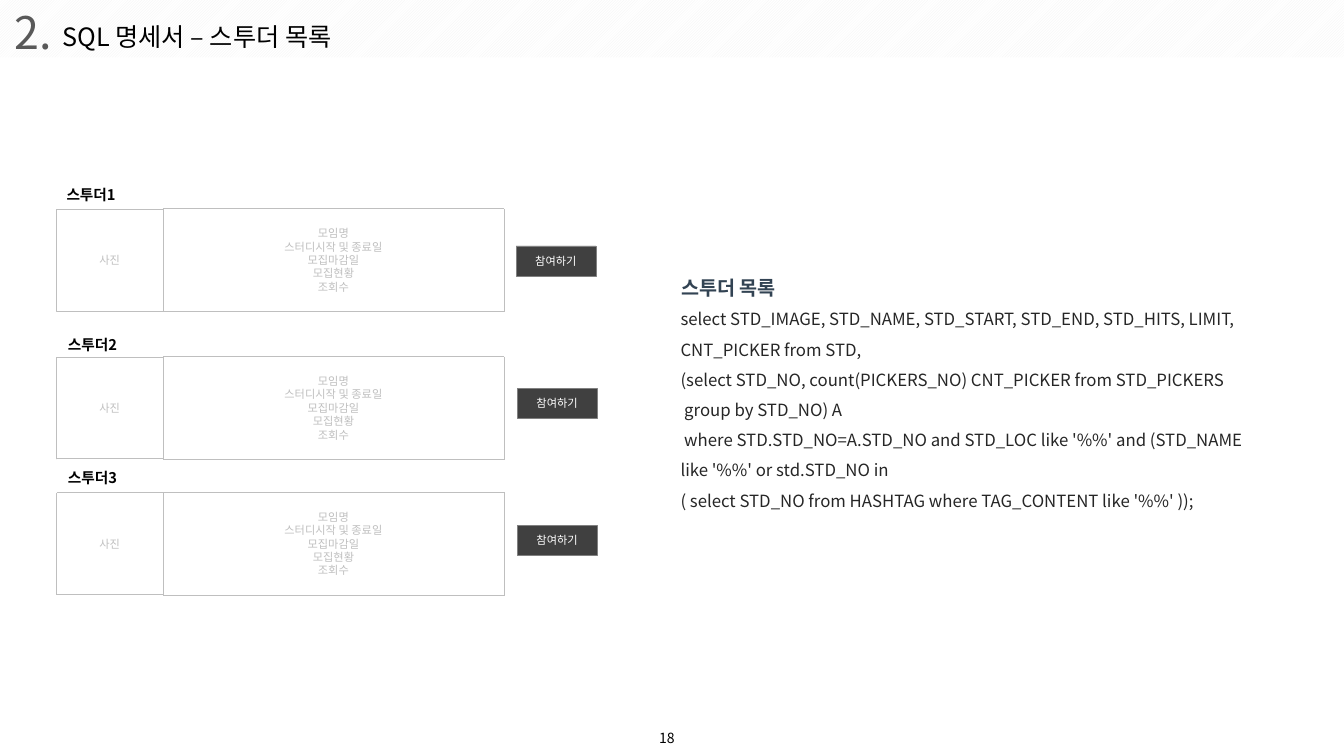
from lxml import etree
from pptx import Presentation
from pptx.dml.color import RGBColor
from pptx.enum.dml import MSO_LINE, MSO_PATTERN
from pptx.enum.shapes import MSO_SHAPE
from pptx.enum.text import MSO_ANCHOR, PP_ALIGN
from pptx.oxml.ns import qn
from pptx.util import Pt

RECTANGLE = MSO_SHAPE.RECTANGLE
DIAGONAL = MSO_PATTERN.DARK_UPWARD_DIAGONAL
DOTTED = MSO_LINE.ROUND_DOT
LEFT, CENTER, RIGHT = PP_ALIGN.LEFT, PP_ALIGN.CENTER, PP_ALIGN.RIGHT
TOP, MIDDLE = MSO_ANCHOR.TOP, MSO_ANCHOR.MIDDLE

FONT = "Noto Sans CJK KR"
COLORS = {
    "black": "000000", "white": "FFFFFF", "band": "F2F2F2",
    "number": "595959", "button": "404040", "button_line": "808080",
    "wireframe": "BFBFBF", "heading": "324353", "code": "262626",
}
SLIDE_WIDTH, SLIDE_HEIGHT = 960, 540

STUDY_FIELDS = ["모임명", "스터디시작 및 종료일", "모집마감일", "모집현황", "조회수"]
# label, label left, label top, card top, button left, button top
STUDY_ROWS = [
    ("스투더1", 40.5, 129, 149, 368.6, 175.7),
    ("스투더2", 41.5, 236, 254.5, 369.5, 277.3),
    ("스투더3", 41.5, 331, 351.5, 369.5, 375.2),
]
QUERY = [
    "select STD_IMAGE, STD_NAME, STD_START, STD_END, STD_HITS, LIMIT, CNT_PICKER from STD,",
    "(select STD_NO, count(PICKERS_NO) CNT_PICKER from STD_PICKERS",
    " group by STD_NO) A",
    " where STD.STD_NO=A.STD_NO and STD_LOC like '%%' and (STD_NAME like '%%' or std.STD_NO in",
    "( select STD_NO from HASHTAG where TAG_CONTENT like '%%' ));",
]


def rgb(name):
    return RGBColor.from_string(COLORS[name])


def write(shape, lines, size, color, bold=False, align=LEFT, anchor=TOP, spacing=None):
    frame = shape.text_frame
    frame.word_wrap = True
    frame.vertical_anchor = anchor
    for index, line in enumerate(lines):
        paragraph = frame.add_paragraph() if index else frame.paragraphs[0]
        paragraph.text = line
        paragraph.alignment = align
        if spacing:
            paragraph.line_spacing = spacing
        font = paragraph.font
        font.name, font.size, font.bold = FONT, Pt(size), bold
        font.color.rgb = rgb(color)
        properties = paragraph._p.pPr.find(qn("a:defRPr"))
        etree.SubElement(properties, qn("a:ea"), typeface=FONT)


def add_text(slide, box, lines, size, color, **style):
    shape = slide.shapes.add_textbox(*map(Pt, box))
    write(shape, lines, size, color, **style)


def add_box(slide, box, lines, fill, line, text_color, dash=None):
    """Add an outlined rectangle with small centred text."""
    shape = slide.shapes.add_shape(RECTANGLE, *map(Pt, box))
    shape.shadow.inherit = False
    shape.fill.solid()
    shape.fill.fore_color.rgb = rgb(fill)
    shape.line.color.rgb = rgb(line)
    shape.line.width = Pt(0.25)
    if dash:
        shape.line.dash_style = dash
    write(shape, lines, 8, text_color, align=CENTER, anchor=MIDDLE)


def add_header(slide, left, top, width, height):
    band = slide.shapes.add_shape(RECTANGLE, *map(Pt, (left, top, width, height)))
    band.shadow.inherit = False
    band.fill.patterned()
    band.fill.pattern = DIAGONAL
    band.fill.fore_color.rgb = rgb("band")
    band.fill.back_color.rgb = rgb("white")
    band.line.fill.background()
    add_text(slide, (left + 37.5, top + 11.5, 207.4, 29), ["SQL 명세서 – 스투더 목록"], 18, "black")
    add_text(slide, (left + 3.6, top, 50.4, 46), ["2."], 32, "number")


def add_study_cards(slide, left):
    for label, label_left, label_top, top, button_left, button_top in STUDY_ROWS:
        add_text(slide, (label_left, label_top, 62.6, 20), [label], 10.5, "black", bold=True)
        add_box(slide, (left + 76.2, top, 243.4, 73.5), STUDY_FIELDS,
                "white", "wireframe", "wireframe", DOTTED)
        add_box(slide, (left, top + 0.4, 76, 72.7), ["사진"],
                "white", "wireframe", "wireframe", DOTTED)
        add_box(slide, (button_left, button_top, 57, 21.6), ["참여하기"],
                "button", "button_line", "white")


def add_query(slide, left, top, width):
    add_text(slide, (left, top + 20, width, 158.4), QUERY, 12, "code", spacing=1.5)
    add_text(slide, (left + 0.4, top, 314.6, 27.4), ["스투더 목록"], 14, "heading",
             bold=True, anchor=MIDDLE, spacing=1.2)


def main():
    presentation = Presentation()
    presentation.slide_width, presentation.slide_height = Pt(SLIDE_WIDTH), Pt(SLIDE_HEIGHT)
    slide = presentation.slides.add_slide(presentation.slide_layouts[6])
    add_header(slide, 0, 0, SLIDE_WIDTH, 41)
    add_study_cards(slide, 40.3)
    add_query(slide, 479, 190, 432.7)
    add_text(slide, (454.3, 517.7, 34.6, 19.4), ["18"], 10, "black", align=RIGHT)
    presentation.save("out.pptx")


if __name__ == "__main__":
    main()
